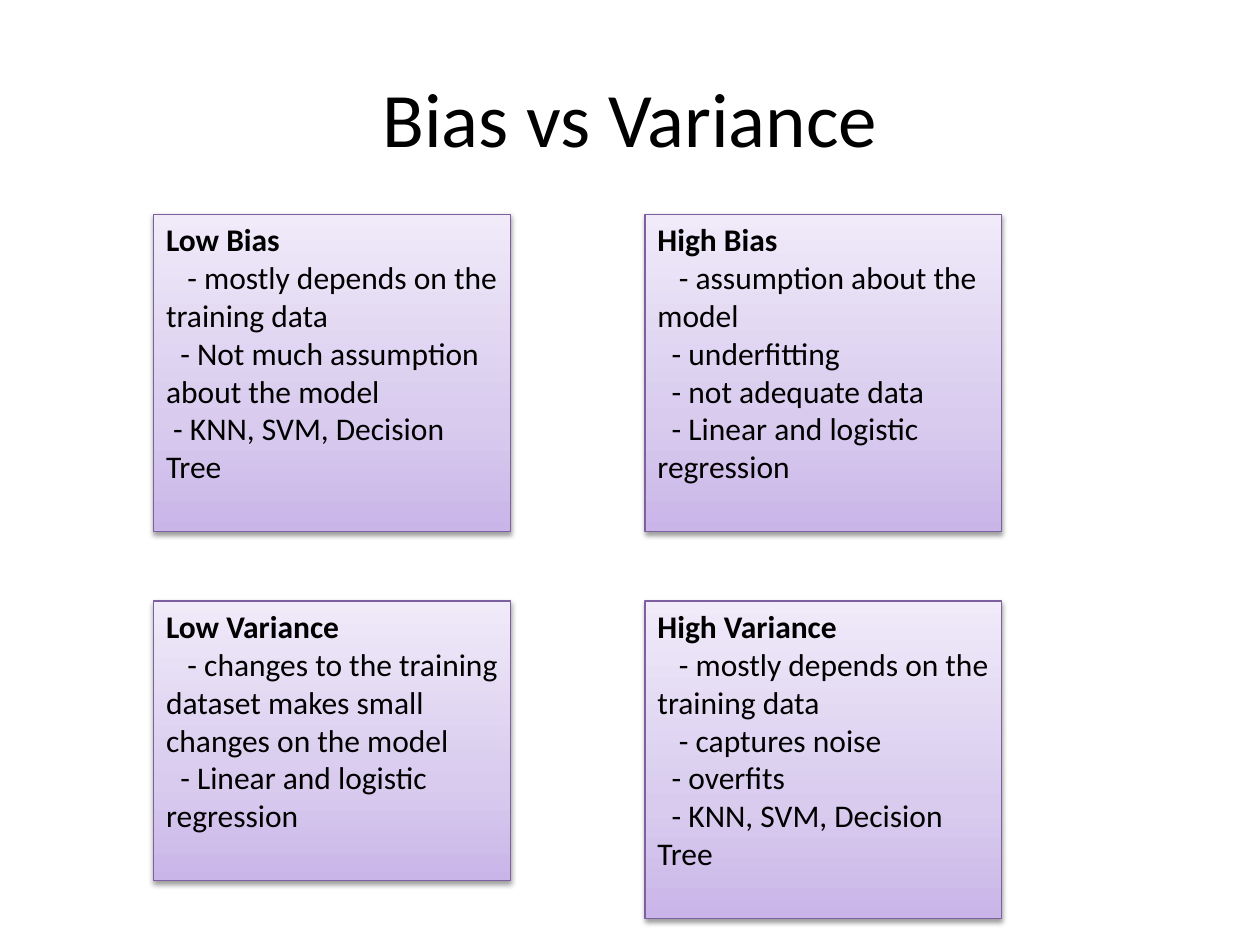
from lxml import etree
from pptx import Presentation
from pptx.dml.color import RGBColor
from pptx.enum.shapes import MSO_SHAPE
from pptx.enum.text import MSO_ANCHOR, PP_ALIGN
from pptx.oxml import parse_xml
from pptx.oxml.ns import nsdecls, qn
from pptx.util import Inches, Pt

BLACK = RGBColor(0x00, 0x00, 0x00)
PURPLE = RGBColor(0x7D, 0x60, 0xA0)
GRADIENT = (
    (0, RGBColor(0xC9, 0xB5, 0xE8)),
    (35, RGBColor(0xD8, 0xCB, 0xEE)),
    (100, RGBColor(0xF0, 0xEA, 0xF9)),
)
FONT = "Calibri"
SPACE = 0.0565

LEFT, TOP = 1.22, 1.7
COLUMN_STEP, ROW_STEP = 3.9, 3.07
CARD_WIDTH, CARD_HEIGHT, SHORT_HEIGHT = 2.83, 2.52, 2.22

CARDS = (
    (0, 0, CARD_HEIGHT, "Low Bias", (
        (3, "mostly depends on the training data"),
        (2, "Not much assumption about the model"),
        (1, "KNN, SVM, Decision Tree"))),
    (1, 0, CARD_HEIGHT, "High Bias", (
        (3, "assumption about the model"),
        (2, "underfitting"),
        (2, "not adequate data"),
        (2, "Linear and logistic regression"))),
    (0, 1, SHORT_HEIGHT, "Low Variance", (
        (3, "changes to the training dataset makes small changes on the model"),
        (2, "Linear and logistic regression"))),
    (1, 1, CARD_HEIGHT, "High Variance", (
        (3, "mostly depends on the training data"),
        (3, "captures noise"),
        (2, "overfits"),
        (2, "KNN, SVM, Decision Tree"))),
)


def write(paragraph, text, size, align, bold=False):
    """Add one styled run to a paragraph."""
    paragraph.alignment = align
    run = paragraph.add_run()
    run.text = text
    run.font.name = FONT
    run.font.size = Pt(size)
    run.font.bold = bold
    run.font.color.rgb = BLACK


def add_title(slide, box, text):
    """Place the centred slide title in its box."""
    frame = slide.shapes.add_textbox(*map(Inches, box)).text_frame
    frame.word_wrap = True
    frame.vertical_anchor = MSO_ANCHOR.MIDDLE
    write(frame.paragraphs[0], text, 44, PP_ALIGN.CENTER)


def style_card(card):
    """Give a card its upward gradient, outline and soft shadow."""
    card.line.color.rgb = PURPLE
    card.line.width = Pt(0.75)
    card.fill.gradient()
    card.fill.gradient_angle = 90
    stops = card.fill._fill._gradFill.find(qn("a:gsLst"))
    for stop in list(stops):
        stops.remove(stop)
    for position, color in GRADIENT:
        stop = etree.SubElement(stops, qn("a:gs"), pos=str(position * 1000))
        etree.SubElement(stop, qn("a:srgbClr"), val=str(color))
    card.shadow.inherit = False
    effects = card._element.spPr.find(qn("a:effectLst"))
    effects.append(parse_xml(
        f'<a:outerShdw {nsdecls("a")} blurRad="{Pt(3.1)}" dist="{Pt(1.6)}" '
        'dir="5400000" rotWithShape="0"><a:srgbClr val="000000">'
        '<a:alpha val="38000"/></a:srgbClr></a:outerShdw>'))


def add_card(slide, box, heading, points):
    """Place a card with a bold heading and dashed points in its box."""
    card = slide.shapes.add_shape(MSO_SHAPE.RECTANGLE, *map(Inches, box))
    style_card(card)
    frame = card.text_frame
    frame.word_wrap = True
    frame.vertical_anchor = MSO_ANCHOR.TOP
    write(frame.paragraphs[0], heading, 18, PP_ALIGN.LEFT, bold=True)
    for spaces, point in points:
        paragraph = frame.add_paragraph()
        write(paragraph, f"- {point}", 18, PP_ALIGN.LEFT)
        properties = paragraph._p.get_or_add_pPr()
        properties.set("marL", "0")
        properties.set("indent", str(Inches(spaces * SPACE)))


def main():
    """Build and save the slide."""
    deck = Presentation()
    deck.slide_width, deck.slide_height = Inches(10), Inches(7.5)
    slide = deck.slides.add_slide(deck.slide_layouts[6])
    add_title(slide, (0.5, 0.3, 9, 1.25), "Bias vs Variance")
    for column, row, height, heading, points in CARDS:
        box = (LEFT + column * COLUMN_STEP, TOP + row * ROW_STEP,
               CARD_WIDTH, height)
        add_card(slide, box, heading, points)
    deck.save("out.pptx")


main()
